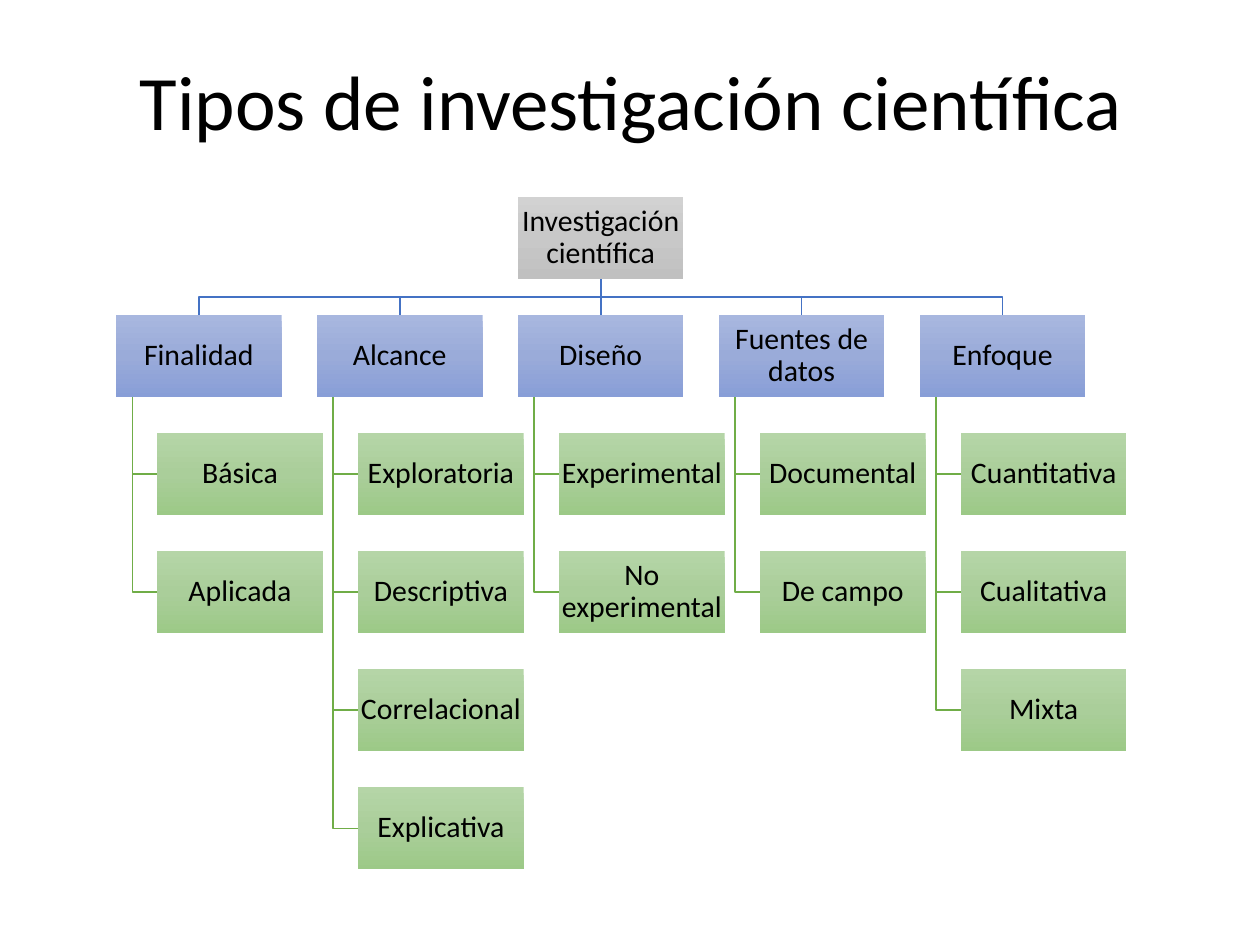
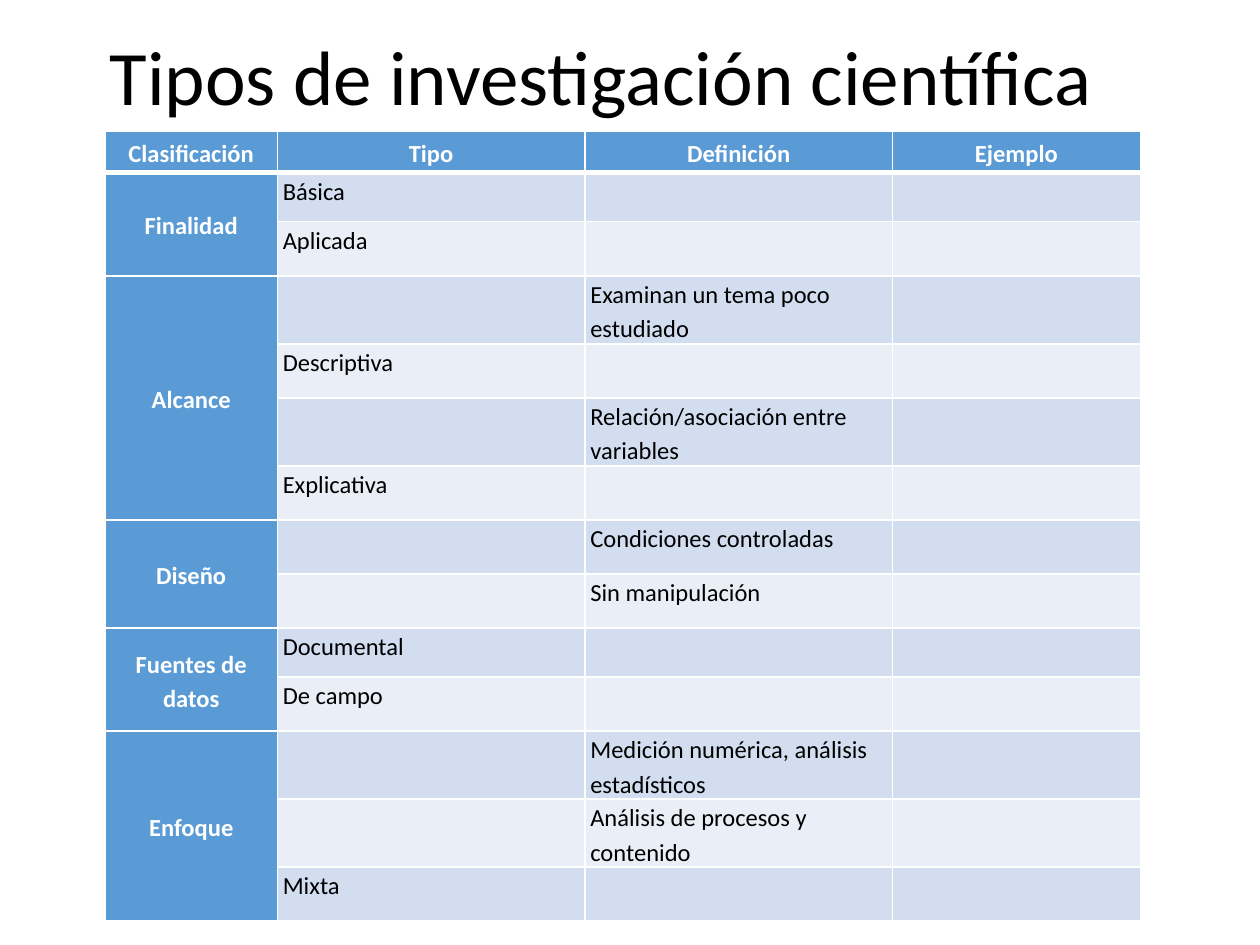
from copy import deepcopy

from lxml import etree
from pptx import Presentation
from pptx import util as u
from pptx.dml.color import RGBColor
from pptx.enum import shapes, text
from pptx.oxml import ns

# Content
TITLE = "Tipos de investigación científica"
ROOT = "Investigación científica"
BRANCHES = {
    "Finalidad": ["Básica", "Aplicada"],
    "Alcance": ["Exploratoria", "Descriptiva", "Correlacional", "Explicativa"],
    "Diseño": ["Experimental", "No experimental"],
    "Fuentes de datos": ["Documental", "De campo"],
    "Enfoque": ["Cuantitativa", "Cualitativa", "Mixta"],
}
HEADERS = ["Clasificación", "Tipo", "Definición", "Ejemplo"]
# Classification -> rows of (type, definition, row height in cm)
LOW, NORMAL, TALL = 0.99, 1.09, 1.37
EXERCISE = {
    "Finalidad": [("Básica", "", LOW), ("Aplicada", "", NORMAL)],
    "Alcance": [
        ("", "Examinan un tema poco estudiado", TALL),
        ("Descriptiva", "", NORMAL),
        ("", "Relación/asociación entre variables", TALL),
        ("Explicativa", "", NORMAL),
    ],
    "Diseño": [("", "Condiciones controladas", NORMAL), ("", "Sin manipulación", NORMAL)],
    "Fuentes de datos": [("Documental", "", LOW), ("De campo", "", NORMAL)],
    "Enfoque": [
        ("", "Medición numérica, análisis estadísticos", TALL),
        ("", "Análisis de procesos y contenido", TALL),
        ("Mixta", "", NORMAL),
    ],
}


class Theme:
    font = "Calibri"
    title_size, box_size, table_size = 44, 17, 14
    black, white = "000000", "FFFFFF"
    root = ("D2D2D2", "C8C8C8", "C0C0C0")
    branch = ("A8B7DF", "9AABD9", "889ED7")
    leaf = ("B5D5A7", "AACE9A", "9CC987")
    branch_line, leaf_line = "4472C4", "70AD47"
    header = "5B9BD5"
    bands = ("D2DEEF", "EAEFF7")
    line_width, header_rule = 1, 3


# Chart layout in cm
LEFT, TOP = 2.34, 3.97
BOX_WIDTH, BOX_HEIGHT = 3.34, 1.66
COLUMN_STEP, ROW_STEP = 4.05, 2.38
LEAF_INDENT, SPINE_INDENT = 0.83, 0.33

# Table layout in cm
TABLE_LEFT, TABLE_TOP = 2.12, 2.65
COLUMN_WIDTHS = [3.47, 6.2, 6.2, 5]
HEADER_HEIGHT = 0.83


def assign(target, values):
    for name, value in values.items():
        setattr(target, name, value)


def write(frame, words, size, color, spacing, align=text.PP_ALIGN.LEFT, bold=False):
    paragraph = frame.paragraphs[0]
    assign(paragraph, {"alignment": align, "line_spacing": spacing})
    if words:
        run = paragraph.add_run()
        run.text = words
        assign(run.font, {"name": Theme.font, "size": u.Pt(size), "bold": bold})
        run.font.color.rgb = RGBColor.from_string(color)


def add_title(slide, left, top, height):
    box = slide.shapes.add_textbox(u.Cm(left), u.Cm(top), u.Cm(21.9), u.Cm(height))
    assign(box.text_frame, {"word_wrap": True, "vertical_anchor": text.MSO_ANCHOR.MIDDLE})
    write(box.text_frame, TITLE, Theme.title_size, Theme.black, 0.9)


def add_box(slide, words, left, top, colors):
    shape = slide.shapes.add_shape(
        shapes.MSO_SHAPE.RECTANGLE, u.Cm(left), u.Cm(top), u.Cm(BOX_WIDTH), u.Cm(BOX_HEIGHT))
    shape.shadow.inherit = False
    shape.line.fill.background()
    # Three-stop gradient from top to bottom
    shape.fill.gradient()
    stop_list = shape.fill._xPr.find(ns.qn("a:gradFill")).find(ns.qn("a:gsLst"))
    stop_list.append(deepcopy(stop_list[0]))
    for stop, position, color in zip(shape.fill.gradient_stops, (0, 0.5, 1), colors):
        stop.position = position
        stop.color.rgb = RGBColor.from_string(color)
    shape.fill.gradient_angle = 270
    margins = dict.fromkeys(
        ("margin_left", "margin_top", "margin_right", "margin_bottom"), u.Cm(0.03))
    assign(shape.text_frame, {
        "word_wrap": True, "vertical_anchor": text.MSO_ANCHOR.MIDDLE, **margins})
    write(shape.text_frame, words, Theme.box_size, Theme.black, 0.9, text.PP_ALIGN.CENTER)
    return shape


def style_line(shape, color):
    shape.line.color.rgb = RGBColor.from_string(color)
    shape.line.width = u.Pt(Theme.line_width)


def add_bent_line(slide, points, color):
    start, *others = [(u.Cm(x), u.Cm(y)) for x, y in points]
    builder = slide.shapes.build_freeform(*start)
    builder.add_line_segments(others, close=False)
    shape = builder.convert_to_shape()
    shape.shadow.inherit = False
    shape.fill.background()
    style_line(shape, color)


def add_straight_line(slide, upper, lower, color):
    connector = slide.shapes.add_connector(shapes.MSO_CONNECTOR.STRAIGHT, 0, 0, 0, 0)
    connector.begin_connect(upper, 2)
    connector.end_connect(lower, 0)
    etree.SubElement(connector._element.spPr, ns.qn("a:effectLst"))
    style_line(connector, color)


def build_hierarchy(slide):
    root_left = LEFT + len(BRANCHES) // 2 * COLUMN_STEP
    root_center = root_left + BOX_WIDTH / 2
    root_bottom, branch_top = TOP + BOX_HEIGHT, TOP + ROW_STEP
    middle = (root_bottom + branch_top) / 2
    root = add_box(slide, ROOT, root_left, TOP, Theme.root)

    for column, (branch, leaves) in enumerate(BRANCHES.items()):
        left = LEFT + column * COLUMN_STEP
        center = left + BOX_WIDTH / 2
        box = add_box(slide, branch, left, branch_top, Theme.branch)
        if left == root_left:
            add_straight_line(slide, root, box, Theme.branch_line)
        else:
            add_bent_line(slide, [(root_center, root_bottom), (root_center, middle),
                                  (center, middle), (center, branch_top)], Theme.branch_line)

        # Leaves hang from a spine under their branch
        spine, leaf_left = left + SPINE_INDENT, left + LEAF_INDENT
        for level, leaf in enumerate(leaves, 1):
            leaf_top = branch_top + level * ROW_STEP
            leaf_middle = leaf_top + BOX_HEIGHT / 2
            add_box(slide, leaf, leaf_left, leaf_top, Theme.leaf)
            add_bent_line(slide, [(spine, branch_top + BOX_HEIGHT), (spine, leaf_middle),
                                  (leaf_left, leaf_middle)], Theme.leaf_line)


def set_borders(cell, top, bottom):
    widths = {"lnL": Theme.line_width, "lnR": Theme.line_width, "lnT": top, "lnB": bottom}
    properties = cell._tc.get_or_add_tcPr()
    for position, (tag, width) in enumerate(widths.items()):
        line = etree.Element(ns.qn(f"a:{tag}"), w=str(u.Pt(width)))
        fill = etree.SubElement(line, ns.qn("a:solidFill"))
        etree.SubElement(fill, ns.qn("a:srgbClr"), val=Theme.white)
        properties.insert(position, line)


def fill_cell(table, row, column, words):
    cell = table.cell(row, column)
    heading = row == 0 or column == 0
    assign(cell, {
        "margin_left": u.Cm(0.11), "margin_right": u.Cm(0.11),
        "margin_top": 0, "margin_bottom": 0,
        "vertical_anchor": text.MSO_ANCHOR.MIDDLE if heading else text.MSO_ANCHOR.TOP})
    cell.fill.solid()
    cell.fill.fore_color.rgb = RGBColor.from_string(
        Theme.header if heading else Theme.bands[(row - 1) % 2])
    set_borders(cell,
                top=Theme.header_rule if row == 1 else Theme.line_width,
                bottom=Theme.header_rule if row == 0 else Theme.line_width)
    write(cell.text_frame, words, Theme.table_size,
          Theme.white if heading else Theme.black, 1.15,
          text.PP_ALIGN.CENTER if heading else text.PP_ALIGN.LEFT, heading)


def build_table(slide):
    rows, heights, spans = [HEADERS], [HEADER_HEIGHT], []
    for group, entries in EXERCISE.items():
        spans.append((len(rows), len(rows) + len(entries) - 1))
        for index, (kind, definition, height) in enumerate(entries):
            rows.append([group if index == 0 else "", kind, definition, ""])
            heights.append(height)

    table = slide.shapes.add_table(
        len(rows), len(HEADERS), u.Cm(TABLE_LEFT), u.Cm(TABLE_TOP),
        u.Cm(sum(COLUMN_WIDTHS)), u.Cm(sum(heights))).table
    assign(table, {"first_row": False, "horz_banding": False})
    for column, width in zip(table.columns, COLUMN_WIDTHS):
        column.width = u.Cm(width)
    for row, height in zip(table.rows, heights):
        row.height = u.Cm(height)
    for row, values in enumerate(rows):
        for column, words in enumerate(values):
            fill_cell(table, row, column, words)
    for first, last in spans:
        table.cell(first, 0).merge(table.cell(last, 0))


def main():
    presentation = Presentation()
    assign(presentation, {"slide_width": u.Cm(25.4), "slide_height": u.Cm(19.05)})
    blank = presentation.slide_layouts[6]

    # Slide 1: hierarchy of research types
    slide = presentation.slides.add_slide(blank)
    build_hierarchy(slide)
    add_title(slide, 2.57, 0.28, 3.68)

    # Slide 2: table to complete
    slide = presentation.slides.add_slide(blank)
    add_title(slide, 1.96, 0, 3.25)
    build_table(slide)

    presentation.save("out.pptx")


if __name__ == "__main__":
    main()
